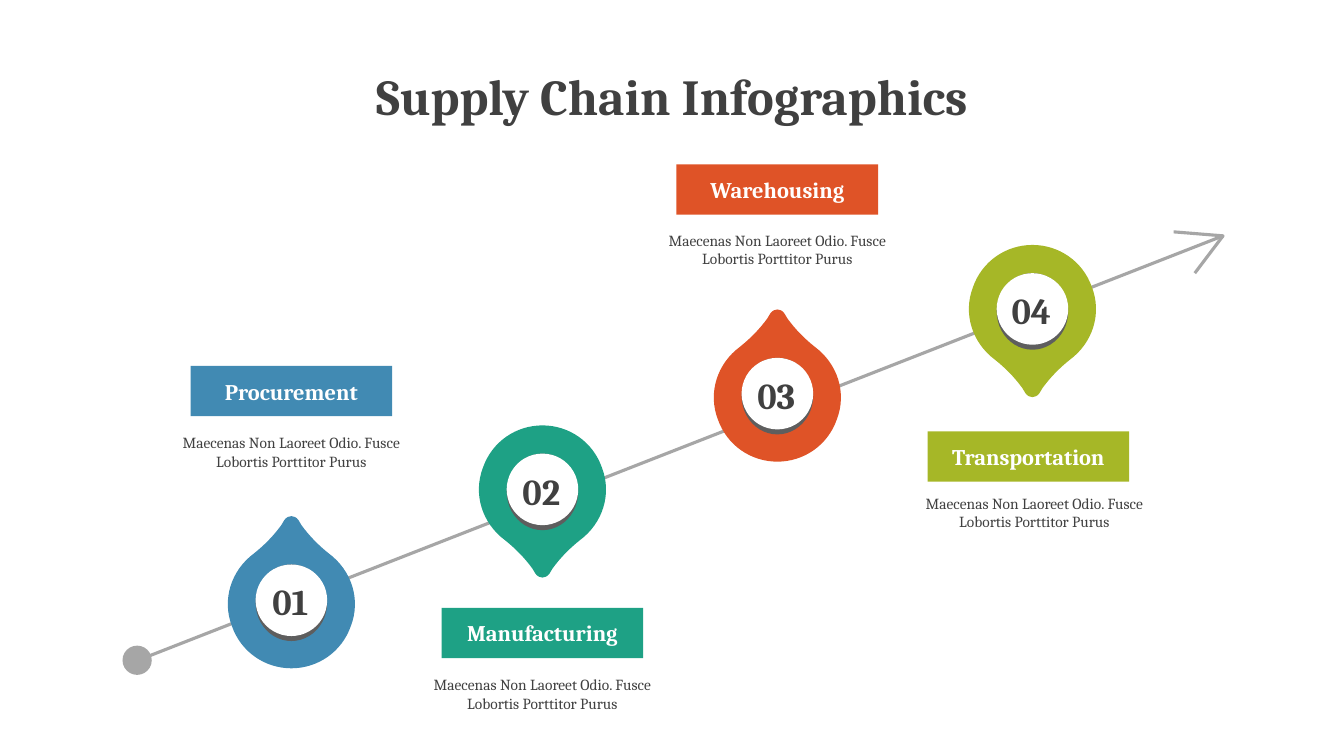
from dataclasses import dataclass

from lxml.etree import SubElement
from pptx import Presentation
from pptx.dml.color import RGBColor
from pptx.enum.shapes import MSO_CONNECTOR, MSO_SHAPE
from pptx.enum.text import MSO_ANCHOR, PP_ALIGN
from pptx.oxml.ns import qn
from pptx.util import Inches, Pt

TITLE = "Supply Chain Infographics"
DETAIL = "Maecenas Non Laoreet Odio. Fusce Lobortis Porttitor Purus"


@dataclass(frozen=True)
class Step:
    number: str
    name: str
    color: str
    points_up: bool
    pin_center: float
    pin_top: float
    label_center: float
    label_top: float
    detail_center: float
    detail_top: float


STEPS = [
    Step("01", "Procurement", "418AB3", True, 2.89, 5.12, 2.89, 3.63, 2.89, 4.3),
    Step("02", "Manufacturing", "1EA185", False, 5.38, 4.22, 5.38, 6.03, 5.38, 6.7),
    Step("03", "Warehousing", "DF5327", True, 7.71, 3.07, 7.71, 1.63, 7.71, 2.29),
    Step("04", "Transportation", "A6B727", False, 10.24, 2.43, 10.2, 4.28, 10.26, 4.9),
]


@dataclass(frozen=True)
class Theme:
    font: str = "Cambria"
    text: str = "404040"
    light: str = "FFFFFF"
    road: str = "A6A6A6"
    shade: str = "5E5E5E"
    title_size: int = 36
    number_size: int = 26
    label_size: int = 16
    detail_size: int = 11
    road_width: float = 2.25


THEME = Theme()

ROAD_START, ROAD_END = (1.32, 6.57), (12.13, 2.34)
ARROW_TIPS = (11.64, 2.3), (11.85, 2.71)
DOT_CENTER, DOT_SIZE = (1.36, 6.55), 0.29
PIN_HEIGHT, DISC_SIZE, SHADE_HEIGHT = 1.51, 0.71, 0.76
DISC_GAP_UP, DISC_GAP_DOWN = 0.48, 0.28
LABEL_SIZE, DETAIL_SIZE, NUMBER_SIZE = (2, 0.5), (2.25, 0.46), (0.74, 0.55)

# Right half of a pin from the round end to the tip:
# a start point, then two control points and an end point for each curve
PIN_HALF = [
    (0, 0),
    (0.26, 0), (0.5, 0.16), (0.59, 0.42),
    (0.69, 0.68), (0.6, 0.97), (0.37, 1.14),
    (0.27, 1.22), (0.18, 1.31), (0.1, 1.42),
    (0.09, 1.44), (0.08, 1.45), (0.07, 1.47),
    (0.05, 1.5), (0.02, 1.51), (0, 1.51),
]


def rgb(color):
    return RGBColor.from_string(color)


def paint(shape, color):
    shape.shadow.inherit = False
    shape.fill.solid()
    shape.fill.fore_color.rgb = rgb(color)
    shape.line.fill.background()


def write(shape, text, size, color, bold=False, anchor=MSO_ANCHOR.TOP):
    frame = shape.text_frame
    frame.word_wrap = True
    frame.vertical_anchor = anchor
    frame.margin_left = frame.margin_right = 0
    frame.margin_top = frame.margin_bottom = 0
    paragraph = frame.paragraphs[0]
    paragraph.text = text
    paragraph.alignment = PP_ALIGN.CENTER
    font = paragraph.font
    font.name, font.size, font.bold = THEME.font, Pt(size), bold
    font.color.rgb = rgb(color)


def centered(center, top, size):
    """Return left, top, width and height of a box around a centre line."""
    width, height = size
    return [Inches(value) for value in (center - width / 2, top, width, height)]


def add_filled(slide, kind, center, top, size, color):
    shape = slide.shapes.add_shape(kind, *centered(center, top, size))
    paint(shape, color)
    return shape


def add_outline(slide, points, close):
    emu_points = [(Inches(x), Inches(y)) for x, y in points]
    builder = slide.shapes.build_freeform(*emu_points[0])
    builder.add_line_segments(emu_points[1:], close=close)
    return builder.convert_to_shape()


def round_segments(shape):
    """Turn every three straight segments into one Bezier curve."""
    segments = list(shape._element.iter(qn("a:lnTo")))
    for first in range(0, len(segments) - 2, 3):
        curve = segments[first]
        curve.tag = qn("a:cubicBezTo")
        for segment in segments[first + 1:first + 3]:
            curve.append(segment[0])
            segment.getparent().remove(segment)


def add_pin(slide, step):
    left_half = [(-x, y) for x, y in reversed(PIN_HALF[:-1])]
    points = [
        (step.pin_center + x, step.pin_top + (PIN_HEIGHT - y if step.points_up else y))
        for x, y in PIN_HALF + left_half
    ]
    pin = add_outline(slide, points, close=True)
    round_segments(pin)
    paint(pin, step.color)


def style_road(line):
    line.color.rgb = rgb(THEME.road)
    line.width = Pt(THEME.road_width)


def add_road(slide):
    road = slide.shapes.add_connector(
        MSO_CONNECTOR.STRAIGHT, *(Inches(value) for value in ROAD_START + ROAD_END)
    )
    style_road(road.line)
    SubElement(road._element.spPr, qn("a:effectLst"))

    arrow = add_outline(slide, [ARROW_TIPS[0], ROAD_END, ARROW_TIPS[1]], close=False)
    arrow.shadow.inherit = False
    arrow.fill.background()
    style_road(arrow.line)

    center, middle = DOT_CENTER
    add_filled(slide, MSO_SHAPE.OVAL, center, middle - DOT_SIZE / 2,
               (DOT_SIZE, DOT_SIZE), THEME.road)


def add_step(slide, step):
    add_pin(slide, step)
    disc_top = step.pin_top + (DISC_GAP_UP if step.points_up else DISC_GAP_DOWN)
    for height, color in ((SHADE_HEIGHT, THEME.shade), (DISC_SIZE, THEME.light)):
        add_filled(slide, MSO_SHAPE.OVAL, step.pin_center, disc_top,
                   (DISC_SIZE, height), color)

    number = slide.shapes.add_textbox(
        *centered(step.pin_center - 0.01, disc_top + 0.15, NUMBER_SIZE))
    write(number, step.number, THEME.number_size, THEME.text, bold=True)

    label = add_filled(slide, MSO_SHAPE.RECTANGLE, step.label_center, step.label_top,
                       LABEL_SIZE, step.color)
    write(label, step.name, THEME.label_size, THEME.light, True, MSO_ANCHOR.MIDDLE)

    detail = slide.shapes.add_textbox(
        *centered(step.detail_center, step.detail_top, DETAIL_SIZE))
    write(detail, DETAIL, THEME.detail_size, THEME.text)


def main():
    presentation = Presentation()
    presentation.slide_width, presentation.slide_height = Inches(13.33), Inches(7.5)
    slide = presentation.slides.add_slide(presentation.slide_layouts[5])
    title = slide.shapes.title
    title.left, title.top, title.width, title.height = centered(
        13.33 / 2, 0.59, (13.33, 0.71))
    write(title, TITLE, THEME.title_size, THEME.text, True, MSO_ANCHOR.MIDDLE)
    add_road(slide)
    for step in STEPS:
        add_step(slide, step)
    presentation.save("out.pptx")


if __name__ == "__main__":
    main()
